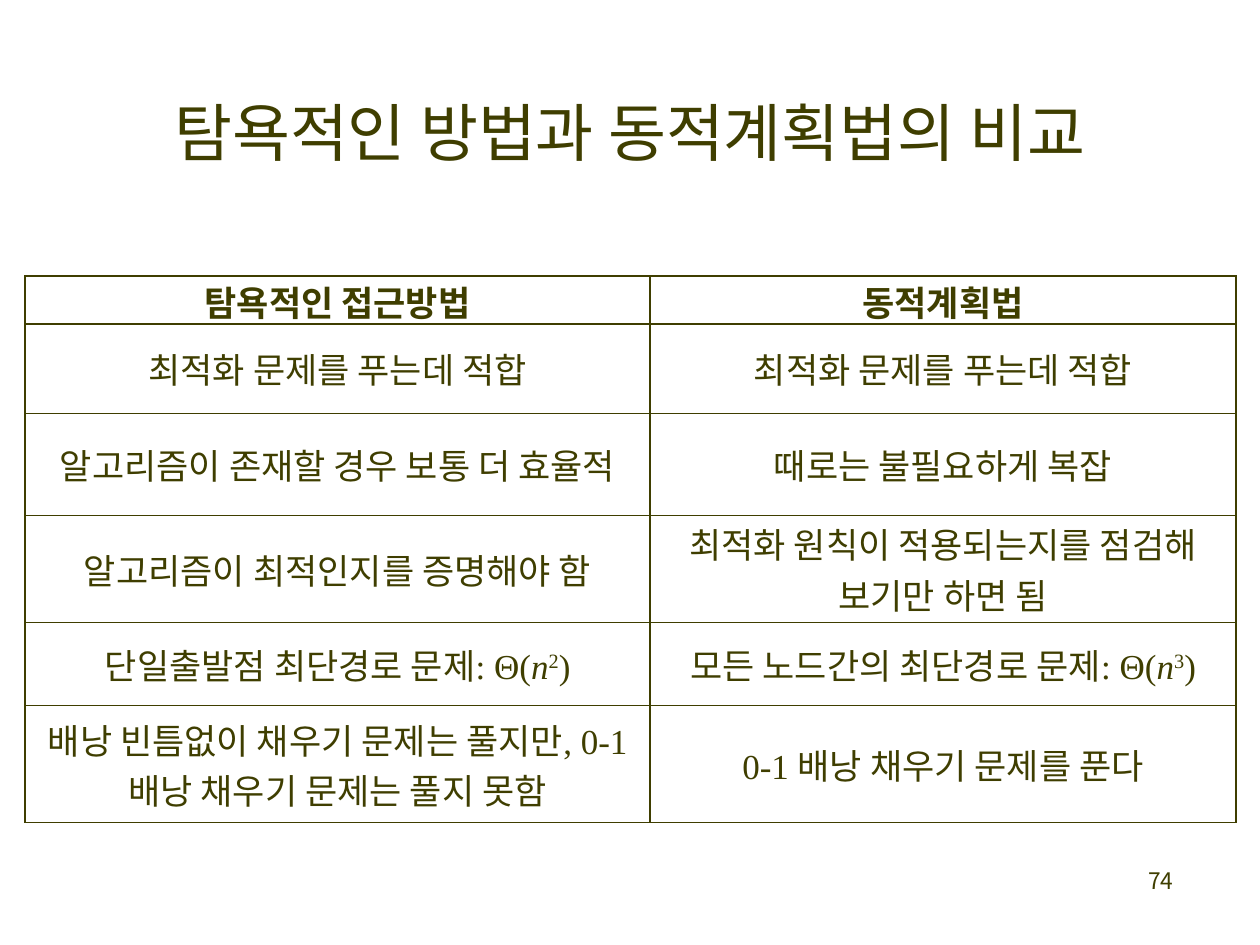
from lxml.etree import SubElement
from pptx import Presentation
from pptx.dml.color import RGBColor
from pptx.enum.text import MSO_ANCHOR, PP_ALIGN
from pptx.oxml import parse_xml
from pptx.oxml.ns import nsdecls, qn
from pptx.util import Inches, Pt

OLIVE = RGBColor(0x3F, 0x3E, 0x00)
WHITE = RGBColor(0xFF, 0xFF, 0xFF)
SERIF, KOREAN = "Times New Roman", "Noto Sans CJK KR"

COL_WIDTHS = [4.96, 4.65]
ROW_HEIGHTS = [0.38, 0.71, 0.81, 0.85, 0.66, 0.93]
# A cell is a string, or a (text, exponent) pair that ends in Θ(n^exponent)
ROWS = [
    ("탐욕적인 접근방법", "동적계획법"),
    ("최적화 문제를 푸는데 적합", "최적화 문제를 푸는데 적합"),
    ("알고리즘이 존재할 경우 보통 더 효율적", "때로는 불필요하게 복잡"),
    ("알고리즘이 최적인지를 증명해야 함",
     "최적화 원칙이 적용되는지를 점검해 보기만 하면 됨"),
    (("단일출발점 최단경로 문제: ", "2"), ("모든 노드간의 최단경로 문제: ", "3")),
    ("배낭 빈틈없이 채우기 문제는 풀지만, 0-1 배낭 채우기 문제는 풀지 못함",
     "0-1 배낭 채우기 문제를 푼다"),
]


def add_run(p, text, size, font=SERIF, bold=False):
    r = p.add_run()
    r.text = text
    r.font.size = Pt(size)
    r.font.name = font
    r.font.bold = bold
    r.font.color.rgb = OLIVE
    SubElement(r.font._element, qn("a:ea")).set("typeface", KOREAN)
    return r


def add_borders(cell):
    for side in ("lnL", "lnR", "lnT", "lnB"):
        cell._tc.get_or_add_tcPr().append(parse_xml(
            f'<a:{side} {nsdecls("a")} w="12700"><a:solidFill>'
            f'<a:srgbClr val="{OLIVE}"/></a:solidFill></a:{side}>'))


prs = Presentation()
prs.slide_width, prs.slide_height = Inches(10), Inches(7.5)
s = prs.slides.add_slide(prs.slide_layouts[5])
s.background.fill.solid()
s.background.fill.fore_color.rgb = WHITE

title = s.shapes.title
title.left, title.top = Inches(0.75), Inches(0.42)
title.width, title.height = Inches(8.5), Inches(1.25)
title.text_frame.vertical_anchor = MSO_ANCHOR.MIDDLE
p = title.text_frame.paragraphs[0]
p.alignment = PP_ALIGN.CENTER
add_run(p, "탐욕적인 방법과 동적계획법의 비교", 36)

number = s.shapes.add_textbox(Inches(7.33), Inches(6.83), Inches(2.08), Inches(0.5))
number.text_frame.word_wrap = True
p = number.text_frame.paragraphs[0]
p.alignment = PP_ALIGN.RIGHT
add_run(p, "74", 13, KOREAN)

table = s.shapes.add_table(
    len(ROWS), len(COL_WIDTHS), Inches(0.2), Inches(2.19),
    Inches(sum(COL_WIDTHS)), Inches(sum(ROW_HEIGHTS))).table
table.first_row = table.horz_banding = False
for column, width in zip(table.columns, COL_WIDTHS):
    column.width = Inches(width)
for row, height in zip(table.rows, ROW_HEIGHTS):
    row.height = Inches(height)

for i, texts in enumerate(ROWS):
    for j, text in enumerate(texts):
        cell = table.cell(i, j)
        cell.margin_left = cell.margin_right = Inches(0.08)
        cell.margin_top = cell.margin_bottom = 0
        cell.vertical_anchor = MSO_ANCHOR.MIDDLE if i else MSO_ANCHOR.TOP
        add_borders(cell)
        cell.fill.background()
        p = cell.text_frame.paragraphs[0]
        p.alignment = PP_ALIGN.CENTER
        if isinstance(text, str):
            add_run(p, text, 20, bold=i == 0)
        else:
            label, exponent = text
            add_run(p, label + "Θ(", 20)
            add_run(p, "n", 20).font.italic = True
            add_run(p, exponent, 20).font._element.set("baseline", "30000")
            add_run(p, ")", 20)

prs.save("out.pptx")
